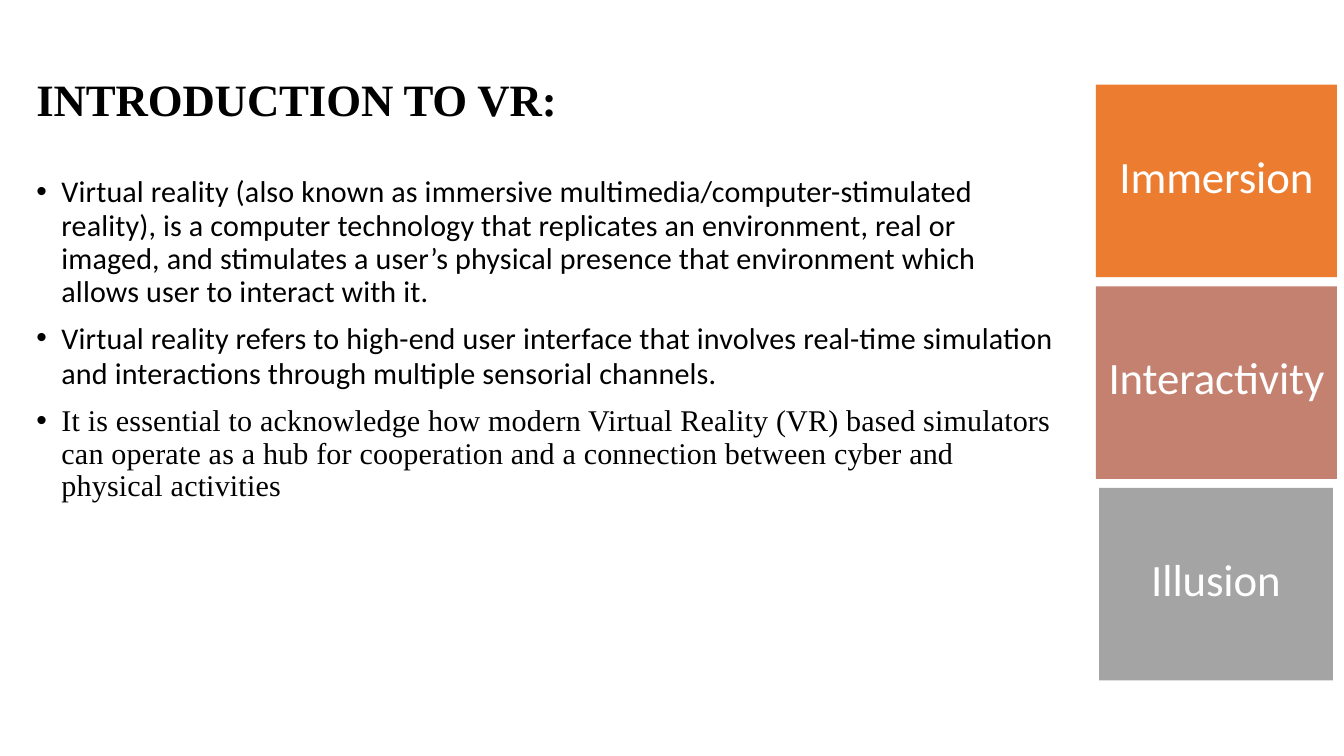
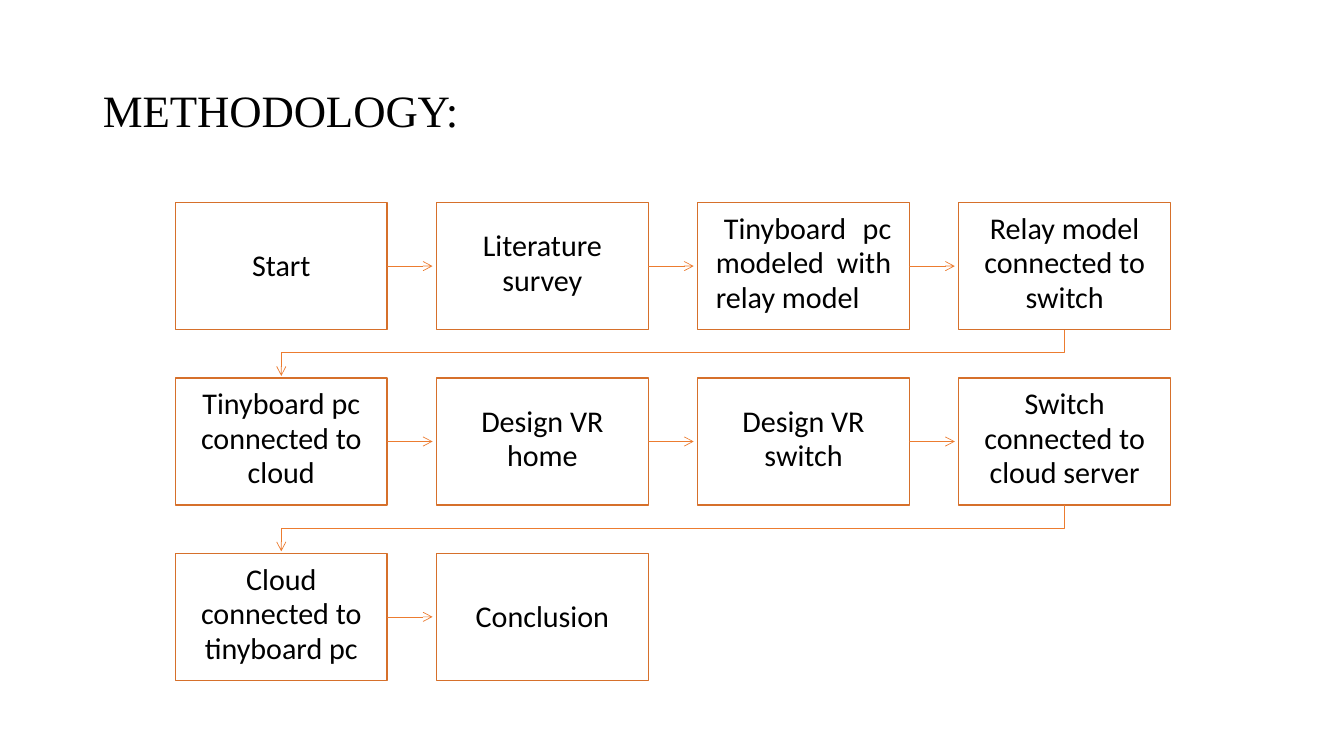
from itertools import pairwise

from lxml import etree
from pptx import Presentation
from pptx.dml.color import RGBColor
from pptx.enum.shapes import MSO_CONNECTOR as Link, MSO_SHAPE as Shape
from pptx.enum.text import MSO_ANCHOR as Anchor, MSO_AUTO_SIZE as Fit, PP_ALIGN as Align
from pptx.oxml.ns import qn
from pptx.util import Inches, Pt

BLACK, WHITE = "000000", "FFFFFF"
ORANGE, RUST, ROSE, GREY = "EC7C30", "D6702B", "C4816F", "A4A4A4"
SANS, SERIF = "Calibri", "Times New Roman"
BIG, SMALL = 32, 21.5

POINTS = [  # text, font, line spacing, space before, letter spacing
    ("Virtual reality (also known as immersive multimedia/computer-stimulated "
     "reality), is a computer technology that replicates an environment, real or "
     "imaged, and stimulates a user’s physical presence that environment which "
     "allows user to interact with it.", SANS, 0.92, 3.3, 0.1),
    ("Virtual reality refers to high-end user interface that involves real-time "
     "simulation and interactions through multiple sensorial channels.",
     SANS, Pt(24.9), 8, 0.1),
    ("It is essential to acknowledge how modern Virtual Reality (VR) based "
     "simulators can operate as a hub for cooperation and a connection between "
     "cyber and physical activities", SERIF, 0.9, 11.2, 0.15),
]
TILES = [  # label, colour, left, width
    ("Immersion", ORANGE, 10.87, 2.39),
    ("Interactivity", ROSE, 10.87, 2.39),
    ("Illusion", GREY, 10.9, 2.32),
]
STEPS = [
    "Start", "Literature survey", "Tinyboard pc modeled with relay model",
    "Relay model connected to switch",
    "Tinyboard pc connected to cloud", "Design VR home", "Design VR switch",
    "Switch connected to cloud server",
    "Cloud connected to tinyboard pc", "Conclusion",
]
JUST = 2  # the one step set in justified lines
COLS = 4
LEFT, TOP, WIDE, HIGH = 1.74, 2.01, 2.1, 1.26
STEP_X, STEP_Y = 2.59, 1.74
REACH, DROP = 0.45, 0.46  # arrow lengths across and down


def color(code):
    return RGBColor.from_string(code)


def write(frame, text, size=SMALL, font=SANS, ink=BLACK, bold=False,
          align=Align.LEFT, lead=None, before=0, margin=0, indent=0, track=0):
    """Add one paragraph, using the first one while the frame is empty."""
    para = frame.add_paragraph() if frame.text else frame.paragraphs[0]
    para.alignment = align
    para.space_before = Pt(before)
    if lead:
        para.line_spacing = lead
    props = para._p.get_or_add_pPr()
    props.set("marL", str(Inches(margin)))
    props.set("indent", str(Inches(indent)))
    run = para.add_run()
    run.text = text
    run.font.size, run.font.name, run.font.bold = Pt(size), font, bold
    run.font.color.rgb = color(ink)
    run._r.get_or_add_rPr().set("spc", str(round(track * 100)))


def setup(frame, anchor, side=0, top=0, bottom=0, wrap=True):
    frame.auto_size = Fit.NONE
    frame.word_wrap = wrap
    frame.vertical_anchor = anchor
    frame.margin_left = frame.margin_right = Inches(side)
    frame.margin_top, frame.margin_bottom = Inches(top), Inches(bottom)
    return frame


def place(shape, x, y, w, h):
    shape.left, shape.top = Inches(x), Inches(y)
    shape.width, shape.height = Inches(w), Inches(h)


def title(slide, text, x, y, w, bold=False):
    shape = slide.shapes.title
    place(shape, x, y, w, 0.57)
    frame = setup(shape.text_frame, Anchor.TOP, top=0.02)
    write(frame, text, size=BIG, font=SERIF, bold=bold, before=1.3,
          margin=0.01, track=-0.1)


def box(slide, x, y, w, h, fill=None, line=None, side=0, bottom=0):
    shape = slide.shapes.add_shape(
        Shape.RECTANGLE, Inches(x), Inches(y), Inches(w), Inches(h))
    shape.shadow.inherit = False
    if fill:
        shape.fill.solid()
        shape.fill.fore_color.rgb = color(fill)
    else:
        shape.fill.background()
    if line:
        shape.line.color.rgb = color(line)
        shape.line.width = Pt(1)
    else:
        shape.line.fill.background()
    setup(shape.text_frame, Anchor.MIDDLE, side=side, bottom=bottom)
    return shape


def arrow(slide, kind, x1, y1, x2, y2):
    link = slide.shapes.add_connector(
        kind, Inches(x1), Inches(y1), Inches(x2), Inches(y2))
    link.line.color.rgb = color(ORANGE)
    link.line.width = Pt(0.5)
    etree.SubElement(link.line._get_or_add_ln(), qn("a:tailEnd"),
                     type="arrow", w="med", len="med")
    etree.SubElement(link._element.spPr, qn("a:effectLst"))
    return link


def across(slide, start, row, col):
    """Lead from a box to just before the next one of its row."""
    x = LEFT + col * STEP_X + WIDE
    y = TOP + row * STEP_Y + HIGH / 2
    link = arrow(slide, Link.STRAIGHT, x, y, x + REACH, y)
    link.begin_connect(start, 3)


def down(slide, row):
    """Lead from the end of a row to the start of the next: an elbow turned by 90°."""
    run = (COLS - 1) * STEP_X
    mid_x = LEFT + (WIDE + run) / 2
    mid_y = TOP + row * STEP_Y + HIGH + DROP / 2
    link = arrow(slide, Link.ELBOW, mid_x - DROP / 2, mid_y - run / 2,
                 mid_x + DROP / 2, mid_y + run / 2)
    link._element.spPr.find(qn("a:xfrm")).set("rot", str(90 * 60000))


def intro(deck):
    slide = deck.slides.add_slide(deck.slide_layouts[1])
    title(slide, "INTRODUCTION TO VR:", 0.35, 0.69, 5.5, bold=True)
    body = slide.placeholders[1]
    place(body, 0.35, 1.7, 10.16, 3.31)
    frame = setup(body.text_frame, Anchor.TOP, top=0.05)
    for text, font, lead, before, track in POINTS:
        write(frame, text, font=font, lead=lead, before=before,
              margin=0.26, indent=-0.25, track=track)
    for i, (label, fill, x, w) in enumerate(TILES):
        tile = box(slide, x, 0.84 + 2 * i, w, 1.91, fill=fill, bottom=0.11)
        write(tile.text_frame, label, size=BIG, ink=WHITE,
              align=Align.CENTER, track=-0.1)


def method(deck):
    slide = deck.slides.add_slide(deck.slide_layouts[5])
    title(slide, "METHODOLOGY:", 1.01, 0.8, 4)
    boxes = []
    for i, text in enumerate(STEPS):
        row, col = divmod(i, COLS)
        shape = box(slide, LEFT + col * STEP_X, TOP + row * STEP_Y, WIDE, HIGH,
                    line=RUST, side=0.18, bottom=0.05 if " " in text else 0)
        just = i == JUST
        write(shape.text_frame, text, lead=0.95, indent=0.08 if just else 0,
              align=Align.JUSTIFY if just else Align.CENTER)
        boxes.append(shape)
    for i, (start, _) in enumerate(pairwise(boxes)):
        row, col = divmod(i, COLS)
        if col < COLS - 1:
            across(slide, start, row, col)
        else:
            down(slide, row)


def main():
    deck = Presentation()
    deck.slide_width, deck.slide_height = Inches(13.33), Inches(7.5)
    intro(deck)
    method(deck)
    deck.save("out.pptx")


if __name__ == "__main__":
    main()
